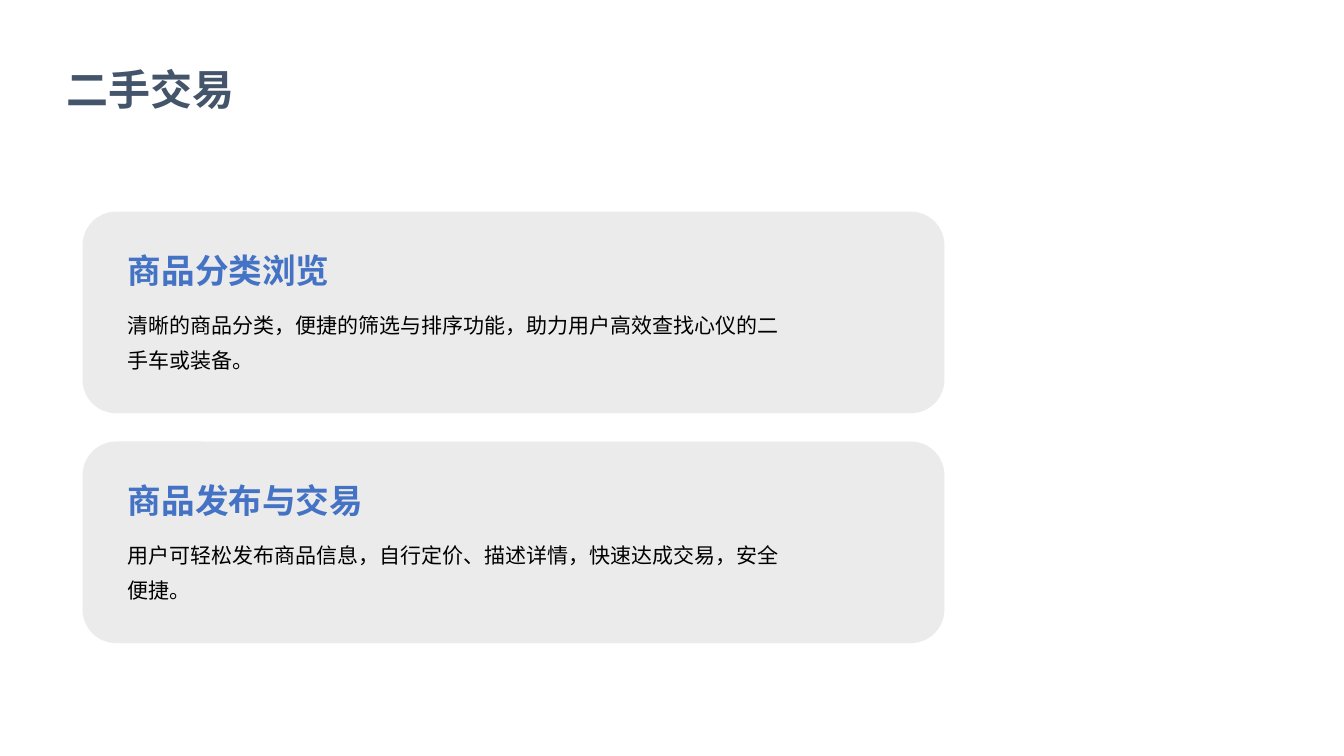
from dataclasses import dataclass

from lxml.etree import SubElement
from pptx import Presentation
from pptx.dml.color import RGBColor
from pptx.enum.shapes import MSO_SHAPE as Preset
from pptx.enum.text import MSO_ANCHOR as Anchor, MSO_AUTO_SIZE as AutoSize, PP_ALIGN as Align
from pptx.oxml.ns import qn
from pptx.slide import Slide
from pptx.text.text import TextFrame
from pptx.util import Pt


@dataclass(frozen=True)
class Theme:
    font: str = "Noto Sans CJK SC"
    title_color: str = "44546A"
    heading_color: str = "4472C4"
    body_color: str = "000000"
    card_color: str = "E7E6E6"
    card_opacity: int = 80
    title_size: float = 30
    heading_size: float = 24
    body_size: float = 15


@dataclass(frozen=True)
class Card:
    heading: str
    body: str


THEME = Theme()
TITLE = "二手交易"
CARDS = [
    Card("商品分类浏览", "清晰的商品分类，便捷的筛选与排序功能，助力用户高效查找心仪的二手车或装备。"),
    Card("商品发布与交易", "用户可轻松发布商品信息，自行定价、描述详情，快速达成交易，安全便捷。"),
]

# Card layout, in points
CARD_LEFT, CARD_TOP, CARD_WIDTH, CARD_HEIGHT = 59, 151.2, 615.6, 144
CARD_PITCH = 164.2
TEXT_LEFT, TEXT_WIDTH = 81.4, 491
HEADING_OFFSET, HEADING_HEIGHT = 13.4, 50.4
BODY_OFFSET, BODY_HEIGHT = 54.7, 74


def write_text(frame: TextFrame, text: str, *, size: float, color: str, spacing: float,
               bold: bool = False, anchor: Anchor = Anchor.TOP,
               auto_size: AutoSize = AutoSize.NONE) -> None:
    """Fill a text frame with one formatted paragraph."""
    frame.word_wrap = True
    frame.auto_size = auto_size
    frame.vertical_anchor = anchor
    frame.margin_left = frame.margin_top = frame.margin_bottom = Pt(10)
    frame.margin_right = Pt(4.5)
    para = frame.paragraphs[0]
    para.alignment = Align.LEFT
    para.line_spacing = spacing
    para.space_before = Pt(0)
    span = para.add_run()
    span.text = text
    span.font.name = THEME.font
    span.font.size = Pt(size)
    span.font.bold = bold
    span.font.color.rgb = RGBColor.from_string(color)
    # East Asian glyphs take their own typeface setting
    SubElement(span.font._element, qn("a:ea"), typeface=THEME.font)


def add_title(page: Slide, text: str) -> None:
    title = page.shapes.title
    title.left, title.top, title.width, title.height = Pt(37.4), Pt(20.9), Pt(885), Pt(72)
    write_text(title.text_frame, text, size=THEME.title_size, color=THEME.title_color,
               spacing=1.4, bold=True, auto_size=AutoSize.SHAPE_TO_FIT_TEXT)


def add_card(page: Slide, card: Card, top: float) -> None:
    # Translucent rounded panel
    panel = page.shapes.add_shape(Preset.ROUNDED_RECTANGLE, Pt(CARD_LEFT), Pt(top),
                                  Pt(CARD_WIDTH), Pt(CARD_HEIGHT))
    panel.shadow.inherit = False
    panel.line.fill.background()
    panel.fill.solid()
    panel.fill.fore_color.rgb = RGBColor.from_string(THEME.card_color)
    color = panel._element.spPr.find(qn("a:solidFill"))[0]
    SubElement(color, qn("a:alpha"), val=str(THEME.card_opacity * 1000))

    # Heading and body
    heading = page.shapes.add_textbox(Pt(TEXT_LEFT), Pt(top + HEADING_OFFSET),
                                      Pt(TEXT_WIDTH), Pt(HEADING_HEIGHT))
    write_text(heading.text_frame, card.heading, size=THEME.heading_size,
               color=THEME.heading_color, spacing=1.2, bold=True, anchor=Anchor.MIDDLE)
    body = page.shapes.add_textbox(Pt(TEXT_LEFT), Pt(top + BODY_OFFSET),
                                   Pt(TEXT_WIDTH), Pt(BODY_HEIGHT))
    write_text(body.text_frame, card.body, size=THEME.body_size,
               color=THEME.body_color, spacing=1.4)


def main() -> None:
    deck = Presentation()
    deck.slide_width, deck.slide_height = Pt(960), Pt(540)
    page = deck.slides.add_slide(deck.slide_layouts.get_by_name("Title Only"))
    add_title(page, TITLE)
    for index, card in enumerate(CARDS):
        add_card(page, card, CARD_TOP + index * CARD_PITCH)
    deck.save("out.pptx")


if __name__ == "__main__":
    main()
